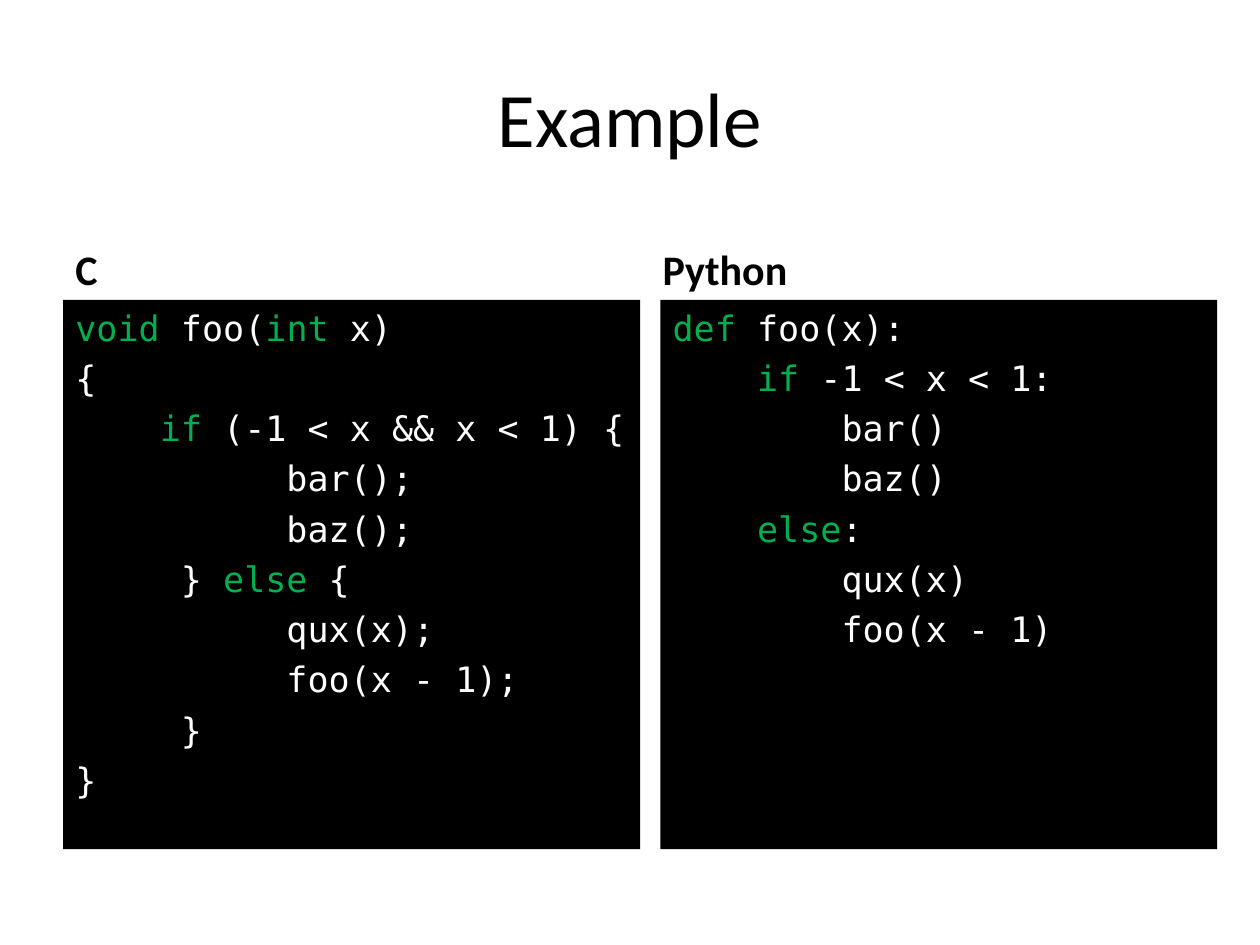
from dataclasses import dataclass

from pptx import Presentation
from pptx.dml.color import RGBColor as Color
from pptx.enum.shapes import MSO_SHAPE as Shape
from pptx.enum.text import MSO_ANCHOR as Anchor, PP_ALIGN as Align
from pptx.util import Inches, Pt


@dataclass(frozen=True)
class Theme:
    ink: Color = Color(0, 0, 0)
    panel: Color = Color(0, 0, 0)
    code: Color = Color(255, 255, 255)
    keyword: Color = Color(0x00, 0xB0, 0x50)
    text_font: str = "Calibri"
    code_font: str = "DejaVu Sans Mono"
    title_size: float = 44
    heading_size: float = 24
    code_size: float = 20
    line_gap: float = 4.7


class CodeSlide:
    """Places elements on a grid of 100 columns by 75 rows."""

    def __init__(self, presentation, theme):
        self.theme = theme
        self.slide = presentation.slides.add_slide(presentation.slide_layouts[6])
        self.column = presentation.slide_width / 100
        self.row = presentation.slide_height / 75

    def place(self, left, top, width, height):
        return (round(left * self.column), round(top * self.row),
                round(width * self.column), round(height * self.row))

    def style(self, font, name, size, color, bold=False):
        font.name, font.size, font.bold = name, Pt(size), bold
        font.color.rgb = color

    def label(self, text, area, size, anchor, align=Align.LEFT, bold=False):
        frame = self.slide.shapes.add_textbox(*self.place(*area)).text_frame
        frame.word_wrap = True
        frame.vertical_anchor = anchor
        frame.text = text
        paragraph = frame.paragraphs[0]
        paragraph.alignment = align
        self.style(paragraph.runs[0].font, self.theme.text_font, size, self.theme.ink, bold)

    def title(self, text, area):
        self.label(text, area, self.theme.title_size, Anchor.MIDDLE, Align.CENTER)

    def heading(self, text, area):
        self.label(text, area, self.theme.heading_size, Anchor.BOTTOM, bold=True)

    def code_panel(self, lines, area):
        """Draw code; words between backticks are keywords."""
        theme = self.theme
        shape = self.slide.shapes.add_shape(Shape.RECTANGLE, *self.place(*area))
        shape.shadow.inherit = False
        shape.fill.solid()
        shape.fill.fore_color.rgb = theme.panel
        shape.line.fill.background()
        frame = shape.text_frame
        frame.word_wrap = True
        frame.vertical_anchor = Anchor.TOP
        for number, line in enumerate(lines):
            paragraph = frame.add_paragraph() if number else frame.paragraphs[0]
            paragraph.alignment = Align.LEFT
            paragraph.space_before = Pt(theme.line_gap if number else 0)
            for index, part in enumerate(line.split("`")):
                if part:
                    run = paragraph.add_run()
                    run.text = part
                    color = theme.keyword if index % 2 else theme.code
                    self.style(run.font, theme.code_font, theme.code_size, color)


C_CODE = """\
`void` foo(`int` x)
{
    `if` (-1 < x && x < 1) {
          bar();
          baz();
     } `else` {
          qux(x);
          foo(x - 1);
     }
}"""

PYTHON_CODE = """\
`def` foo(x):
    `if` -1 < x < 1:
        bar()
        baz()
    `else`:
        qux(x)
        foo(x - 1)"""


def main():
    presentation = Presentation()
    presentation.slide_width, presentation.slide_height = Inches(10), Inches(7.5)
    page = CodeSlide(presentation, Theme())

    # Title
    page.title("Example", (5, 3, 90, 12.5))

    # One column per language: heading left, panel left, panel width
    examples = [
        ("C", C_CODE, 5, 5, 45.8),
        ("Python", PYTHON_CODE, 51.6, 52.4, 44.2),
    ]
    for name, code, heading_left, panel_left, panel_width in examples:
        page.heading(name, (heading_left, 16.8, 44.2, 7))
        page.code_panel(code.splitlines(), (panel_left, 23.8, panel_width, 43.6))

    presentation.save("out.pptx")


if __name__ == "__main__":
    main()
